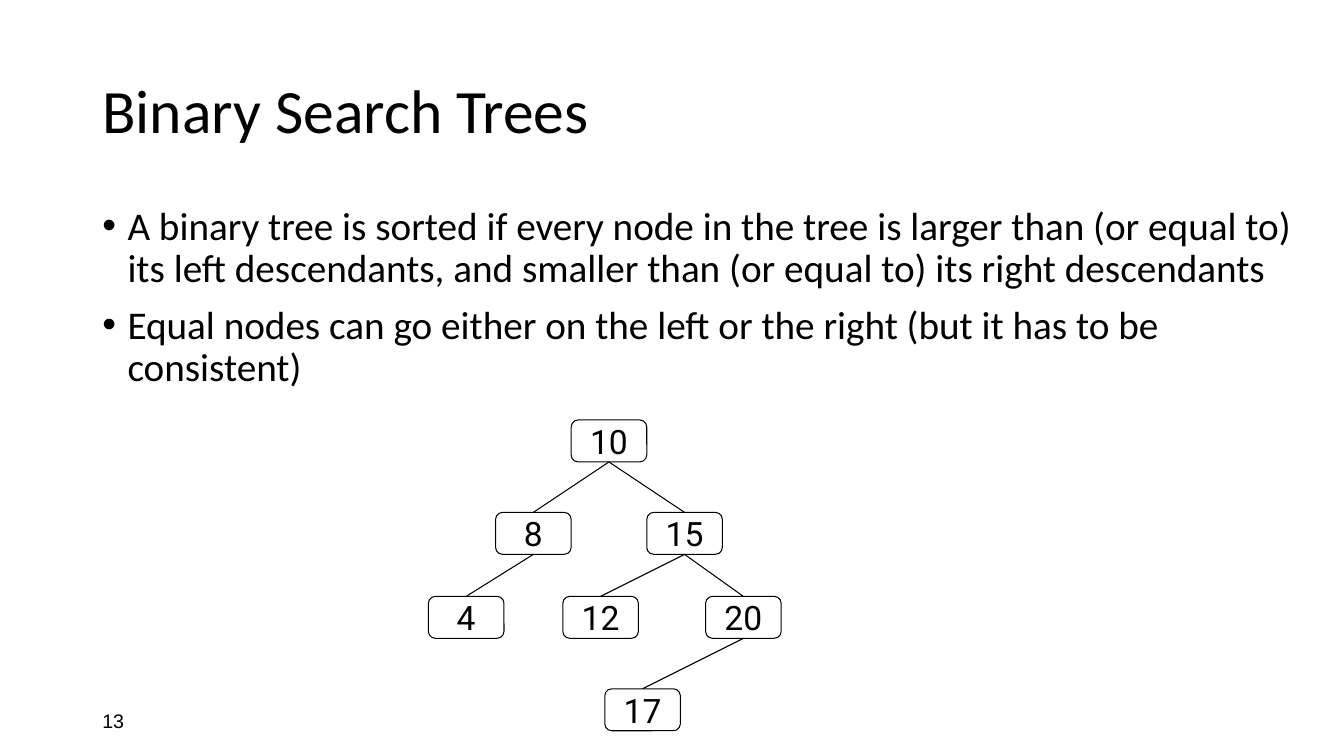
from dataclasses import dataclass
from lxml.etree import SubElement
from pptx import Presentation
from pptx.dml.color import RGBColor
from pptx.enum.shapes import MSO_CONNECTOR, MSO_SHAPE
from pptx.enum.text import MSO_ANCHOR, PP_ALIGN
from pptx.oxml.ns import qn
from pptx.util import Pt


@dataclass(frozen=True)
class Theme:
    ink: RGBColor = RGBColor(0, 0, 0)
    title: int = 44
    body: int = 28
    node: int = 24
    number: int = 14
    line: float = 0.75


theme = Theme()


def write(tf, *texts, size, font="Calibri", align=PP_ALIGN.LEFT,
          anchor=MSO_ANCHOR.MIDDLE, wrap=True, spacing=None, before=0, bullet=None):
    tf.word_wrap = wrap
    tf.vertical_anchor = anchor
    for i, text in enumerate(texts):
        p = tf.add_paragraph() if i else tf.paragraphs[0]
        p.alignment = align
        p.space_before = Pt(before)
        if spacing:
            p.line_spacing = spacing
        if bullet:
            pPr = p._p.get_or_add_pPr()
            pPr.set("marL", str(Pt(18)))
            pPr.set("indent", str(-Pt(18)))
            SubElement(pPr, qn("a:buFont")).set("typeface", "Arial")
            SubElement(pPr, qn("a:buChar")).set("char", bullet)
        r = p.add_run()
        r.text = text
        r.font.name = font
        r.font.size = Pt(size)
        r.font.color.rgb = theme.ink


prs = Presentation()
prs.slide_width, prs.slide_height = Pt(960), Pt(540)
s = prs.slides.add_slide(prs.slide_layouts[6])

# Slide number, title and bullets
sp = s.shapes.add_textbox(Pt(66), Pt(500.5), Pt(216), Pt(28.75))
write(sp.text_frame, "13", size=theme.number, font="Arial")

sp = s.shapes.add_textbox(Pt(66), Pt(28.75), Pt(828), Pt(104.4))
write(sp.text_frame, "Binary Search Trees", size=theme.title, spacing=0.9)

sp = s.shapes.add_textbox(Pt(66), Pt(144), Pt(867.6), Pt(342.6))
write(sp.text_frame,
      "A binary tree is sorted if every node in the tree is larger than (or equal to) "
      "its left descendants, and smaller than (or equal to) its right descendants",
      "Equal nodes can go either on the left or the right (but it has to be consistent)",
      size=theme.body, anchor=MSO_ANCHOR.TOP, spacing=0.9, before=10, bullet="•")

# Tree nodes: value, left, top, parent
tree = [
    (10, 408, 300, None),
    (8, 354, 366, 10),
    (15, 462, 366, 10),
    (4, 306, 426, 8),
    (12, 402, 426, 15),
    (20, 504, 426, 15),
    (17, 432, 492, 20),
]
nodes = {}
for value, left, top, parent in tree:
    sp = s.shapes.add_shape(MSO_SHAPE.ROUNDED_RECTANGLE, Pt(left), Pt(top), Pt(54), Pt(30))
    sp.shadow.inherit = False
    sp.fill.background()
    sp.line.color.rgb = theme.ink
    sp.line.width = Pt(theme.line)
    write(sp.text_frame, str(value), size=theme.node, font="Roboto",
          align=PP_ALIGN.CENTER, wrap=False)
    nodes[value] = sp

# Edges from each parent's bottom to its child's top
for value, left, top, parent in tree:
    if parent is None:
        continue
    edge = s.shapes.add_connector(MSO_CONNECTOR.STRAIGHT, 0, 0, 0, 0)
    edge.begin_connect(nodes[parent], 2)
    edge.end_connect(nodes[value], 0)
    edge.line.color.rgb = theme.ink
    edge.line.width = Pt(theme.line)
    SubElement(edge._element.spPr, qn("a:effectLst"))

prs.save("out.pptx")
